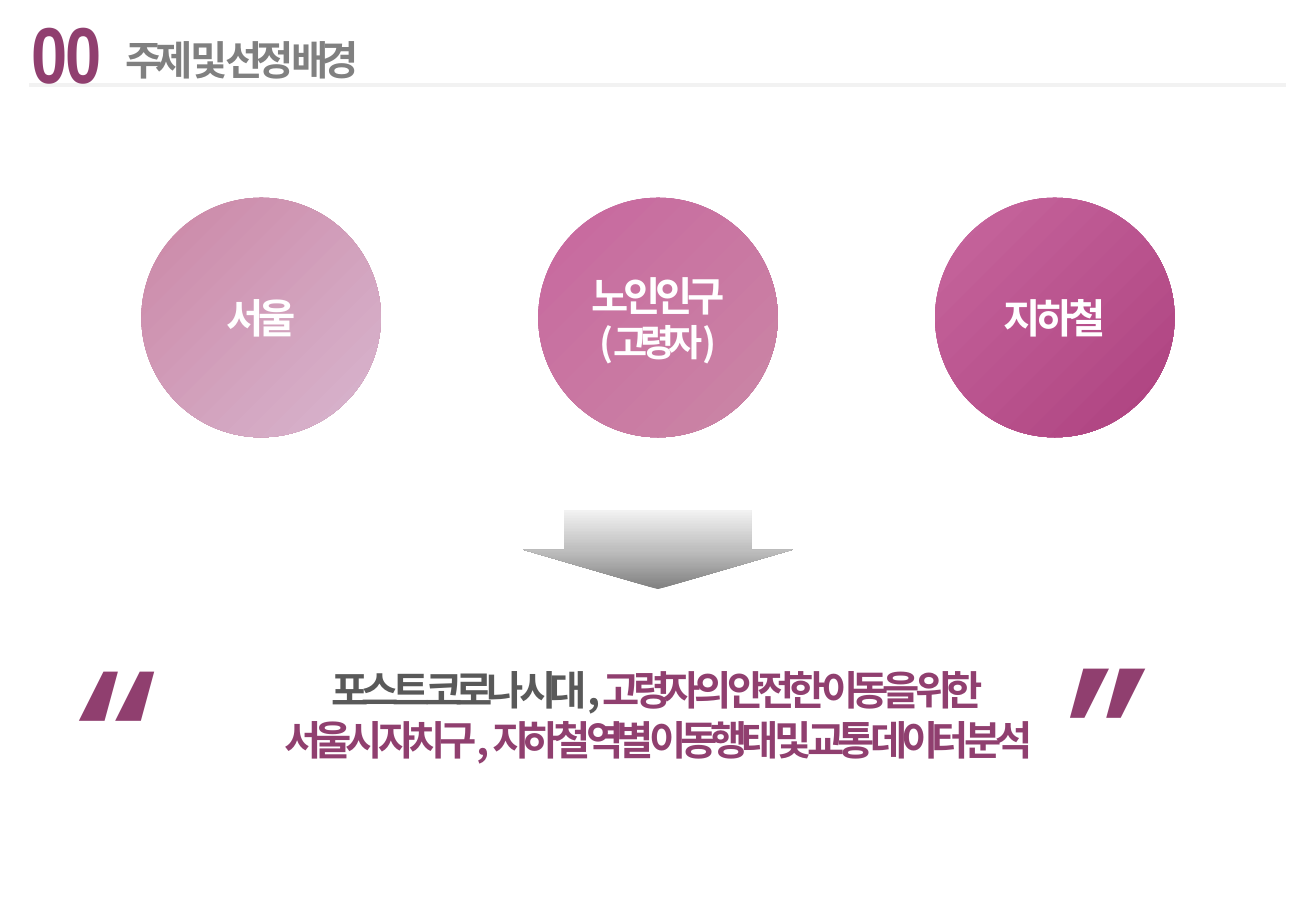
from copy import deepcopy

from pptx import Presentation
from pptx.dml.color import RGBColor
from pptx.enum.shapes import MSO_CONNECTOR, MSO_SHAPE
from pptx.enum.text import MSO_ANCHOR, MSO_AUTO_SIZE, PP_ALIGN
from pptx.oxml.ns import qn
from pptx.util import Pt

COLORS = {
    "plum": "903F6F", "gray": "808080", "dark": "595959", "silver": "BFBFBF",
    "pale": "F2F2F2", "white": "FFFFFF", "rose": "CB87A6", "lilac": "D8B6CF",
    "pink": "C7679E", "magenta": "AD417F",
}
KOREAN = "Noto Sans CJK KR"

# Text styles: font, size, colour, letter spacing in points
STYLES = {
    "number": ("Arial Narrow", 47, "plum", -1),
    "title": ("Arial", 24, "gray", -4),
    "circle": (KOREAN, 24, "white", -3),
    "circle_note": (KOREAN, 22, "white", -4),
    "lead": (KOREAN, 24, "dark", -4),
    "theme": (KOREAN, 24, "plum", -4),
    "quote": ("Courier New", 96, "plum", -4),
}

# Paragraphs are lists of (text, style)
NUMBER = [[("00", "number")]]
TITLE = [[("주제 및 선정 배경", "title")]]
CIRCLES = [
    ([[("서울", "circle")]], ["rose", "lilac"]),
    ([[("노인인구", "circle")], [("(고령자)", "circle_note")]], ["pink", "rose"]),
    ([[("지하철", "circle")]], ["pink", "magenta"]),
]
THEME = [
    [("포스트 코로나 시대, ", "lead"), ("고령자의 안전한 이동을 위한 ", "theme")],
    [("서울시 자치구, 지하철 역별 이동행태 및 교통 데이터 분석", "theme")],
]
QUOTES = [("“ ", 25.2, 391), ("” ", 612.7, 388.8)]

PAGE_WIDTH, PAGE_HEIGHT = 780, 540
CIRCLE_SIZE, CIRCLE_TOP, CIRCLE_STEP = 142, 117.2, 235.2
ARROW_WIDTH, ARROW_HEIGHT, ARROW_TOP = 160, 46.8, 302.4


def color(name):
    return RGBColor.from_string(COLORS[name])


def write(shape, paragraphs, align=PP_ALIGN.CENTER, anchor=MSO_ANCHOR.MIDDLE, **spacing):
    frame = shape.text_frame
    frame.word_wrap = True
    frame.auto_size = MSO_AUTO_SIZE.NONE
    frame.vertical_anchor = anchor
    for index, spans in enumerate(paragraphs):
        para = frame.add_paragraph() if index else frame.paragraphs[0]
        for name, value in {"alignment": align, **spacing}.items():
            setattr(para, name, value)
        for text, style in spans:
            typeface, size, ink, tracking = STYLES[style]
            span = para.add_run()
            span.text = text
            for name, value in {"name": typeface, "size": Pt(size), "bold": True}.items():
                setattr(span.font, name, value)
            span.font.color.rgb = color(ink)
            properties = span.font._element
            properties.set("spc", str(tracking * 100))
            latin = properties.find(qn("a:latin"))
            east_asian = latin.makeelement(qn("a:ea"), {"typeface": typeface})
            latin.addnext(east_asian)


def add_text(page, box, paragraphs, **layout):
    write(page.shapes.add_textbox(*map(Pt, box)), paragraphs, **layout)


def add_gradient_shape(page, kind, box, names, angle):
    """Add an unlined shape whose gradient has evenly spaced colours."""
    shape = page.shapes.add_shape(kind, *map(Pt, box))
    shape.shadow.inherit = False
    shape.line.fill.background()
    shape.fill.gradient()
    shape.fill.gradient_angle = angle
    stops = shape._element.spPr.find(".//" + qn("a:gsLst"))
    while len(stops) < len(names):
        stops.append(deepcopy(stops[-1]))
    for index, (stop, name) in enumerate(zip(shape.fill.gradient_stops, names)):
        stop.color.rgb = color(name)
        stop.position = index / (len(names) - 1)
    return shape


deck = Presentation()
deck.slide_width, deck.slide_height = Pt(PAGE_WIDTH), Pt(PAGE_HEIGHT)
page = deck.slides.add_slide(deck.slide_layouts[5])

rule = page.shapes.add_connector(MSO_CONNECTOR.STRAIGHT, Pt(17.3), Pt(50.4), Pt(762.5), Pt(50.4))
rule.line.color.rgb = color("pale")
rule.line.width = Pt(2)
properties = rule._element.spPr
properties.append(properties.makeelement(qn("a:effectLst"), {}))

title = page.shapes.title
for name, value in {"left": 67, "top": 15.8, "width": 567.4, "height": 38.9}.items():
    setattr(title, name, Pt(value))
write(title, TITLE, align=PP_ALIGN.LEFT)
add_text(page, (11.5, 15.1, 67, 31.7), NUMBER, align=PP_ALIGN.LEFT)

first_left = (PAGE_WIDTH - CIRCLE_SIZE) / 2 - CIRCLE_STEP
for index, (label, names) in enumerate(CIRCLES):
    box = (first_left + index * CIRCLE_STEP, CIRCLE_TOP, CIRCLE_SIZE, CIRCLE_SIZE)
    write(add_gradient_shape(page, MSO_SHAPE.OVAL, box, names, 315), label)

arrow_box = ((PAGE_WIDTH - ARROW_WIDTH) / 2, ARROW_TOP, ARROW_WIDTH, ARROW_HEIGHT)
arrow = add_gradient_shape(page, MSO_SHAPE.DOWN_ARROW, arrow_box, ["gray", "silver", "pale"], 90)
arrow.adjustments[0], arrow.adjustments[1] = 0.695, 0.5

spacing = {"anchor": MSO_ANCHOR.TOP, "line_spacing": 0.8, "space_after": Pt(7)}
add_text(page, (50.4, 396, 679.7, 61.2), THEME, **spacing)
for mark, left, top in QUOTES:
    add_text(page, (left, top, 141.8, 100), [[(mark, "quote")]], **spacing)

deck.save("out.pptx")
